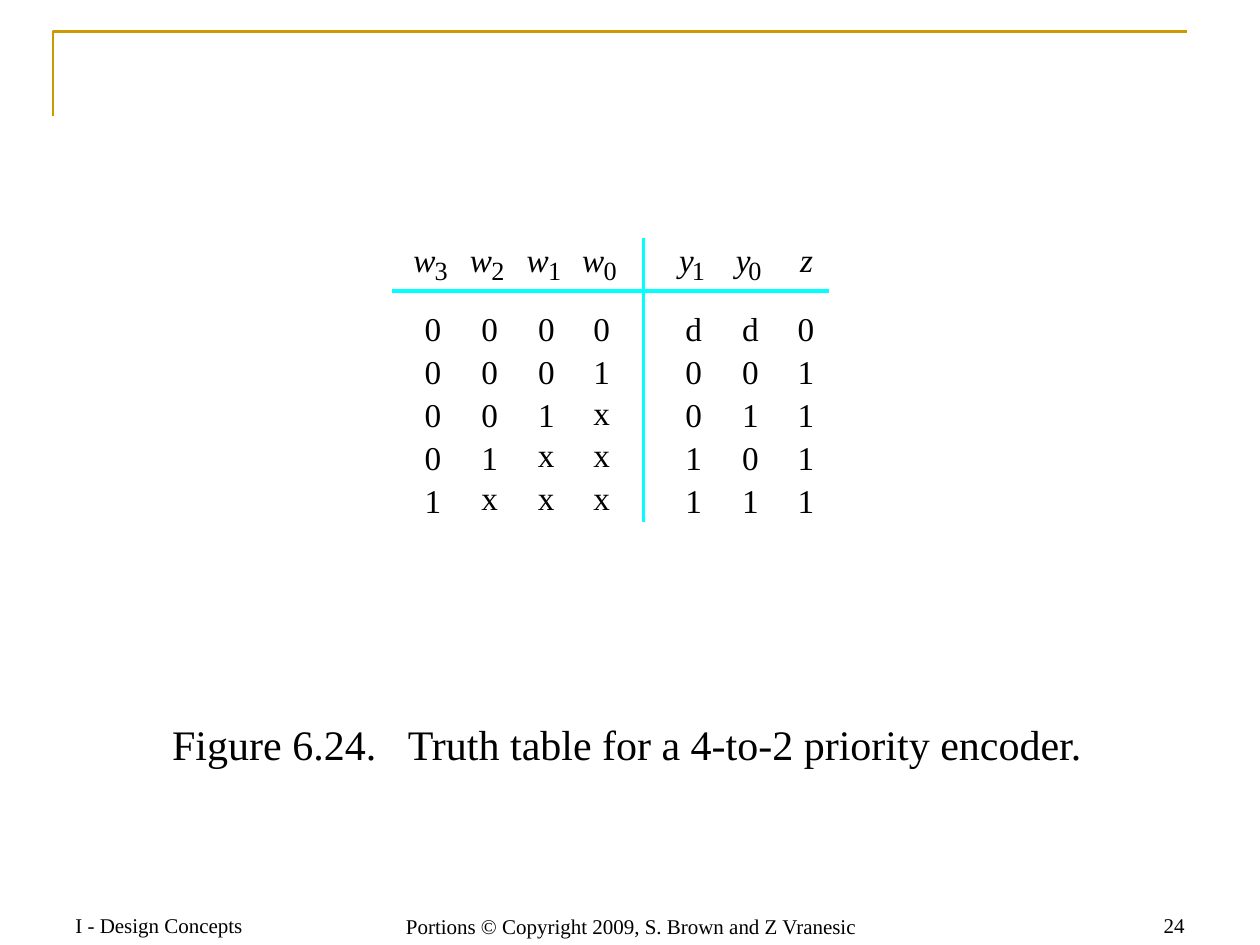
from dataclasses import dataclass

from pptx import Presentation
from pptx.dml.color import RGBColor
from pptx.enum.shapes import MSO_CONNECTOR
from pptx.enum.text import MSO_ANCHOR, MSO_AUTO_SIZE, PP_ALIGN
from pptx.oxml.ns import qn
from pptx.slide import Slide
from pptx.util import Emu, Pt
from lxml.etree import SubElement

EMU_PER_PX = 9144  # 100 px to the inch


@dataclass(frozen=True)
class Theme:
    font: str = "Times New Roman"
    text: RGBColor = RGBColor(0, 0, 0)
    frame: RGBColor = RGBColor(0xCC, 0x99, 0x00)
    rule: RGBColor = RGBColor(0x00, 0xFF, 0xFF)
    frame_width: float = 1.5
    rule_width: float = 1.87
    caption_size: int = 24
    symbol_size: int = 19
    subscript_size: int = 15
    footer_size: int = 12


@dataclass(frozen=True)
class Box:
    left: int
    top: int
    width: int
    height: int


@dataclass(frozen=True)
class Column:
    left: int
    name: str
    subscript: str
    values: str  # one character for each row, from the top


@dataclass(frozen=True)
class HeaderStyle:
    name_shift: int
    name_width: int
    subscript_shift: int


@dataclass(frozen=True)
class Footer:
    text: str
    box: Box
    align: PP_ALIGN


THEME = Theme()

COLUMNS = [
    Column(337, "w", "3", "00001"),
    Column(382, "w", "2", "0001x"),
    Column(427, "w", "1", "001xx"),
    Column(471, "w", "0", "01xxx"),
    Column(544, "y", "1", "d0011"),
    Column(589, "y", "0", "d0101"),
    Column(633, "z", "", "01111"),
]
HEADER_STYLES = {
    "w": HeaderStyle(-9, 19, 8),
    "y": HeaderStyle(-5, 12, 5),
    "z": HeaderStyle(2, 12, 0),
}
VALUE_WIDTHS = {"0": 15, "1": 15, "x": 14, "d": 16}
X_RAISE = 2
HEADER_TOP, SUBSCRIPT_TOP = 190, 202
FIRST_ROW_TOP, ROW_STEP = 245, 34
SYMBOL_HEIGHT, SUBSCRIPT_HEIGHT, SUBSCRIPT_WIDTH = 32, 25, 12

FOOTERS = [
    Footer("I - Design Concepts", Box(50, 699, 233, 50), PP_ALIGN.LEFT),
    Footer("Portions © Copyright 2009, S. Brown and Z Vranesic",
           Box(283, 700, 436, 50), PP_ALIGN.CENTER),
    Footer("24", Box(717, 699, 233, 50), PP_ALIGN.RIGHT),
]
CAPTION_PARTS = ["Figure 6.24.", " ", "Truth table for a 4-to-2 priority encoder."]
CAPTION_GAP = 12  # points added to the space after the figure number


def px(length: int) -> Emu:
    return Emu(length * EMU_PER_PX)


def add_text(slide: Slide, parts: str | list[str], box: Box, *, size: int,
             italic: bool = False, align: PP_ALIGN = PP_ALIGN.LEFT,
             anchor: MSO_ANCHOR = MSO_ANCHOR.TOP, tight: bool = False,
             space_extra: int = 0):
    """Add a text box; space_extra widens parts that are a lone space."""
    shape = slide.shapes.add_textbox(
        px(box.left), px(box.top), px(box.width), px(box.height))
    frame = shape.text_frame
    frame.word_wrap = not tight
    frame.vertical_anchor = anchor
    if tight:
        frame.auto_size = MSO_AUTO_SIZE.SHAPE_TO_FIT_TEXT
    frame.margin_left = frame.margin_right = px(0 if tight else 10)
    frame.margin_top = frame.margin_bottom = px(0 if tight else 5)
    paragraph = frame.paragraphs[0]
    paragraph.alignment = align
    for part in [parts] if isinstance(parts, str) else parts:
        run = paragraph.add_run()
        run.text = part
        run.font.name = THEME.font
        run.font.size = Pt(size)
        run.font.italic = italic
        run.font.color.rgb = THEME.text
        if part == " " and space_extra:
            run._r.get_or_add_rPr().set("spc", str(space_extra * 100))
    return shape


def add_rule(slide: Slide, start: tuple[int, int], end: tuple[int, int]) -> None:
    connector = slide.shapes.add_connector(
        MSO_CONNECTOR.STRAIGHT, *map(px, start), *map(px, end))
    connector.line.color.rgb = THEME.rule
    connector.line.width = Pt(THEME.rule_width)
    SubElement(connector.element.spPr, qn("a:effectLst"))


def add_frame(slide: Slide) -> None:
    builder = slide.shapes.build_freeform(42, 92, scale=EMU_PER_PX)
    builder.add_line_segments([(42, 25), (942, 25)], close=False)
    shape = builder.convert_to_shape()
    shape.shadow.inherit = False
    shape.fill.background()
    shape.line.color.rgb = THEME.frame
    shape.line.width = Pt(THEME.frame_width)


def add_column(slide: Slide, column: Column) -> None:
    # Heading with its subscript
    style = HEADER_STYLES[column.name]
    add_text(slide, column.name,
             Box(column.left + style.name_shift, HEADER_TOP,
                 style.name_width, SYMBOL_HEIGHT),
             size=THEME.symbol_size, italic=True, tight=True)
    if column.subscript:
        add_text(slide, column.subscript,
                 Box(column.left + style.subscript_shift, SUBSCRIPT_TOP,
                     SUBSCRIPT_WIDTH, SUBSCRIPT_HEIGHT),
                 size=THEME.subscript_size, tight=True)

    # Values, with each x set slightly higher
    for row, value in enumerate(column.values):
        top = FIRST_ROW_TOP + row * ROW_STEP - (X_RAISE if value == "x" else 0)
        add_text(slide, value,
                 Box(column.left, top, VALUE_WIDTHS[value], SYMBOL_HEIGHT),
                 size=THEME.symbol_size, tight=True)


def main() -> None:
    presentation = Presentation()
    presentation.slide_width, presentation.slide_height = px(1000), px(750)
    slide = presentation.slides.add_slide(presentation.slide_layouts[6])

    # Corner frame and footers
    add_frame(slide)
    for footer in FOOTERS:
        add_text(slide, footer.text, footer.box, size=THEME.footer_size,
                 align=footer.align, anchor=MSO_ANCHOR.BOTTOM)

    # Caption
    add_text(slide, CAPTION_PARTS, Box(103, 565, 789, 50),
             size=THEME.caption_size, align=PP_ALIGN.CENTER,
             space_extra=CAPTION_GAP)

    # Truth table
    add_rule(slide, (311, 231), (658, 231))
    add_rule(slide, (511, 414), (511, 189))
    for column in COLUMNS:
        add_column(slide, column)

    presentation.save("out.pptx")


if __name__ == "__main__":
    main()
